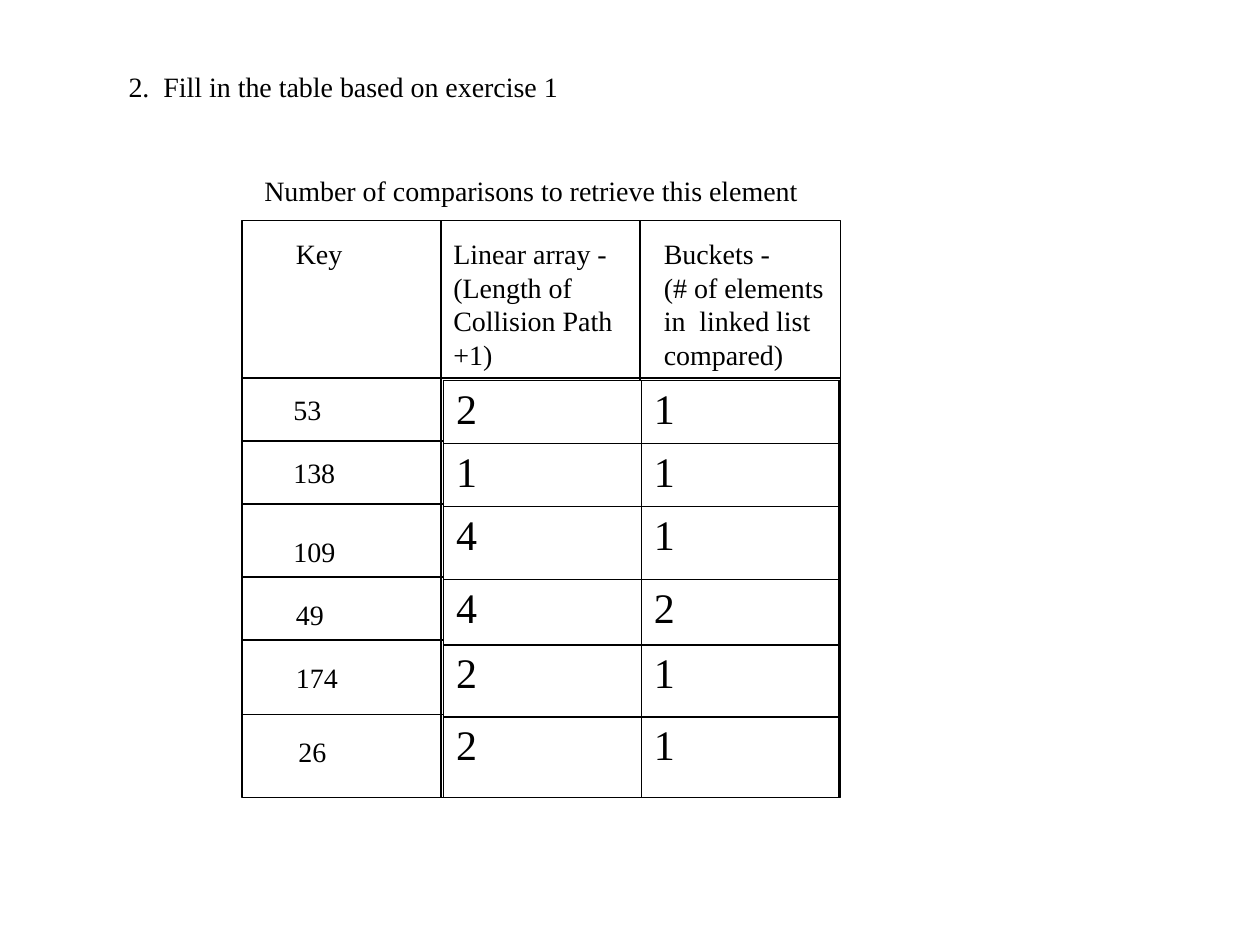
from typing import NamedTuple

from lxml import etree
from pptx import Presentation
from pptx.dml.color import RGBColor
from pptx.enum.shapes import MSO_CONNECTOR, MSO_SHAPE
from pptx.enum.text import MSO_ANCHOR, MSO_AUTO_SIZE, PP_ALIGN
from pptx.oxml.ns import qn
from pptx.util import Inches, Pt

RECTANGLE = MSO_SHAPE.RECTANGLE
STRAIGHT = MSO_CONNECTOR.STRAIGHT
TOP = MSO_ANCHOR.TOP
GROW = MSO_AUTO_SIZE.SHAPE_TO_FIT_TEXT
LEFT_ALIGN = PP_ALIGN.LEFT

FONT = "Times New Roman"
BLACK, WHITE = "000000", "FFFFFF"
LABEL_SIZE, ANSWER_SIZE = 16, 24

FRAME_LEFT, FRAME_TOP, FRAME_RIGHT, FRAME_BOTTOM = 1.92, 1.75, 6.67, 6.33
COLUMN_LINES = (3.5, 5.08)
ROW_LINES = (3, 3.5, 4, 4.58, 5.08, 5.67)

ANSWERS_LEFT, ANSWERS_TOP = 3.52, 3.02
ANSWER_COLUMN = 1.57
ANSWER_ROWS = (0.5, 0.5, 0.58, 0.52, 0.57, 0.64)
ANSWERS = ((2, 1), (1, 1), (4, 1), (4, 2), (2, 1), (2, 1))


class Label(NamedTuple):
    left: float
    top: float
    width: float
    height: float
    lines: tuple[str, ...]


QUESTION = Label(0.92, 0.5, 3.65, 0.37, ("2.  Fill in the table based on exercise 1",))
LABELS = (
    Label(2, 1.33, 4.5, 0.37, ("Number of comparisons to retrieve this element",)),
    Label(2.25, 1.83, 0.6, 0.37, ("Key",)),
    Label(3.5, 1.83, 1.75, 1.18, ("Linear array -", "(Length of", "Collision Path +1)")),
    Label(5.17, 1.83, 1.51, 1.18,
          ("Buckets -", "(# of elements", "in  linked list", "compared)")),
    Label(2.23, 3.07, 2.22, 0.37, ("53",)),
    Label(2.23, 3.57, 0.6, 0.37, ("138",)),
    Label(2.23, 4.19, 1.21, 0.37, ("109",)),
    Label(2.25, 4.69, 2.22, 0.37, ("49",)),
    Label(2.25, 5.19, 0.6, 0.37, ("174",)),
    Label(2.27, 5.78, 2.22, 0.37, ("26",)),
)


def rgb(color: str) -> RGBColor:
    return RGBColor.from_string(color)


def add_run(paragraph, text: str, size: float) -> None:
    paragraph.alignment = LEFT_ALIGN
    run = paragraph.add_run()
    run.text = text
    run.font.name = FONT
    run.font.size = Pt(size)
    run.font.color.rgb = rgb(BLACK)


def fill_label(shape, label: Label) -> None:
    """Place a text box or placeholder and write its lines."""
    shape.left, shape.top = Inches(label.left), Inches(label.top)
    shape.width, shape.height = Inches(label.width), Inches(label.height)
    frame = shape.text_frame
    frame.word_wrap = True
    frame.auto_size = GROW
    frame.vertical_anchor = TOP
    for index, line in enumerate(label.lines):
        paragraph = frame.add_paragraph() if index else frame.paragraphs[0]
        add_run(paragraph, line, LABEL_SIZE)


def add_label(slide, label: Label) -> None:
    box = slide.shapes.add_textbox(0, 0, 0, 0)
    fill_label(box, label)


def add_rule(slide, x1: float, y1: float, x2: float, y2: float) -> None:
    rule = slide.shapes.add_connector(
        STRAIGHT, Inches(x1), Inches(y1), Inches(x2), Inches(y2))
    rule.line.color.rgb = rgb(BLACK)
    rule.line.width = Pt(0.75)
    etree.SubElement(rule.element.spPr, qn("a:effectLst"))


def add_grid(slide) -> None:
    frame = slide.shapes.add_shape(
        RECTANGLE, Inches(FRAME_LEFT), Inches(FRAME_TOP),
        Inches(FRAME_RIGHT - FRAME_LEFT), Inches(FRAME_BOTTOM - FRAME_TOP))
    frame.shadow.inherit = False
    frame.fill.background()
    frame.line.color.rgb = rgb(BLACK)
    frame.line.width = Pt(0.75)
    for x in COLUMN_LINES:
        add_rule(slide, x, FRAME_TOP, x, FRAME_BOTTOM)
    for y in ROW_LINES:
        add_rule(slide, FRAME_LEFT, y, FRAME_RIGHT, y)


def set_borders(cell, color: str, width: float) -> None:
    properties = cell._tc.get_or_add_tcPr()
    for index, side in enumerate(("a:lnL", "a:lnR", "a:lnT", "a:lnB")):
        border = etree.Element(qn(side), w=str(Pt(width)))
        fill = etree.SubElement(border, qn("a:solidFill"))
        etree.SubElement(fill, qn("a:srgbClr"), val=color)
        properties.insert(index, border)


def add_answers(slide) -> None:
    columns = len(ANSWERS[0])
    table = slide.shapes.add_table(
        len(ANSWERS), columns, Inches(ANSWERS_LEFT), Inches(ANSWERS_TOP),
        Inches(columns * ANSWER_COLUMN), Inches(sum(ANSWER_ROWS))).table
    table.first_row = False
    table.horz_banding = False
    for column in table.columns:
        column.width = Inches(ANSWER_COLUMN)
    for row, height, answers in zip(table.rows, ANSWER_ROWS, ANSWERS):
        row.height = Inches(height)
        for cell, answer in zip(row.cells, answers):
            cell.fill.solid()
            cell.fill.fore_color.rgb = rgb(WHITE)
            set_borders(cell, BLACK, 1)
            add_run(cell.text_frame.paragraphs[0], str(answer), ANSWER_SIZE)


def main() -> None:
    presentation = Presentation()
    presentation.slide_width = Inches(10)
    presentation.slide_height = Inches(7.5)
    title_only = presentation.slide_layouts[5]
    slide = presentation.slides.add_slide(title_only)
    fill_label(slide.shapes.title, QUESTION)
    add_grid(slide)
    for label in LABELS:
        add_label(slide, label)
    add_answers(slide)
    presentation.save("out.pptx")


if __name__ == "__main__":
    main()
